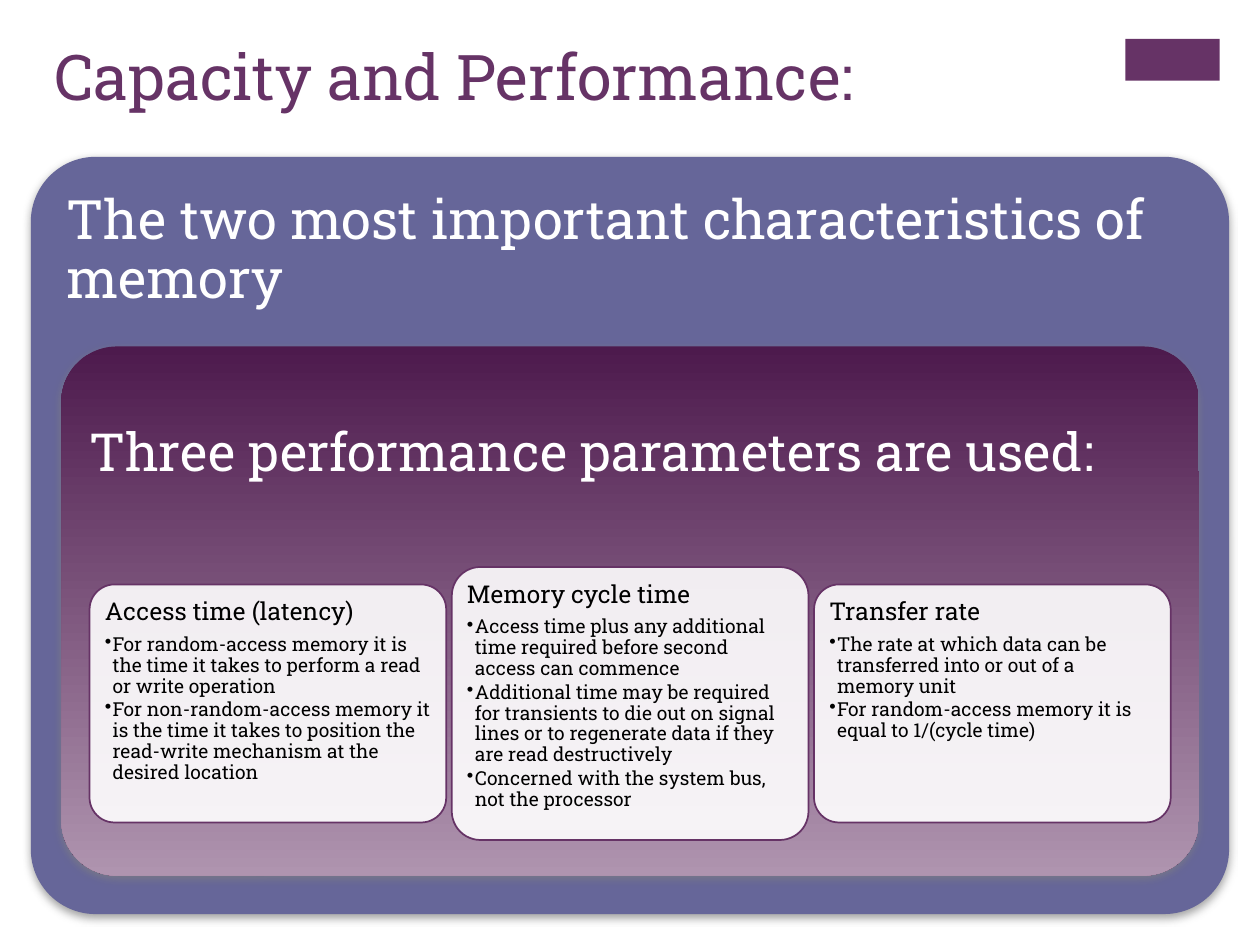
from lxml import etree
from pptx import Presentation
from pptx.dml.color import RGBColor
from pptx.enum.shapes import MSO_SHAPE
from pptx.enum.text import MSO_ANCHOR, PP_ALIGN
from pptx.oxml import parse_xml
from pptx.oxml.ns import nsdecls, qn
from pptx.util import Pt

RECT = MSO_SHAPE.RECTANGLE
ROUND = MSO_SHAPE.ROUNDED_RECTANGLE
TOP = MSO_ANCHOR.TOP
LEFT = PP_ALIGN.LEFT

PLUM = RGBColor(0x66, 0x33, 0x66)
SLATE = RGBColor(0x66, 0x66, 0x99)
DARK = RGBColor(0x4D, 0x1A, 0x4D)
MAUVE = RGBColor(0xAF, 0x94, 0xAF)
WHITE = RGBColor(0xFF, 0xFF, 0xFF)
BLACK = RGBColor(0x00, 0x00, 0x00)

CARDS = [
    ("Access time (latency)", 136, [
        "For random-access memory it is the time it takes to perform a read or write operation",
        "For non-random-access memory it is the time it takes to position the read-write "
        "mechanism at the desired location",
    ]),
    ("Memory cycle time", 156, [
        "Access time plus any additional time required before second access can commence",
        "Additional time may be required for transients to die out on signal lines or to "
        "regenerate data if they are read destructively",
        "Concerned with the system bus, not the processor",
    ]),
    ("Transfer rate", 136, [
        "The rate at which data can be transferred into or out of a memory unit",
        "For random-access memory it is equal to 1/(cycle time)",
    ]),
]


class Deck:
    font = "Roboto Slab"

    def __init__(self):
        self.prs = Presentation()
        self.prs.slide_width, self.prs.slide_height = Pt(720), Pt(540)
        self.slide = self.prs.slides.add_slide(self.prs.slide_layouts[5])

    def style(self, par, size, color):
        par.alignment = LEFT
        for run in par.runs:
            run.font.name = self.font
            run.font.size = Pt(size)
            run.font.color.rgb = color

    def frame(self, shape, inset):
        frame = shape.text_frame
        frame.word_wrap = True
        frame.vertical_anchor = TOP
        frame.margin_left = frame.margin_right = Pt(inset)
        frame.margin_top = frame.margin_bottom = Pt(inset)
        return frame

    def title(self, text, x, y, w, h):
        shape = self.slide.shapes.title
        shape.left, shape.top, shape.width, shape.height = Pt(x), Pt(y), Pt(w), Pt(h)
        frame = self.frame(shape, 7.2)
        frame.margin_top = Pt(3.6)
        frame.text = text
        self.style(frame.paragraphs[0], 36, PLUM)

    def panel(self, kind, x, y, w, h, fill, line=None, width=1, round=None):
        shape = self.slide.shapes.add_shape(kind, Pt(x), Pt(y), Pt(w), Pt(h))
        shape.shadow.inherit = False
        shape.fill.solid()
        shape.fill.fore_color.rgb = fill
        if line is None:
            shape.line.fill.background()
        else:
            shape.line.color.rgb = line
            shape.line.width = Pt(width)
        if round is not None:
            shape.adjustments[0] = round
        return shape

    def shade(self, shape):
        effects = shape._element.spPr.find(qn("a:effectLst"))
        effects.append(parse_xml(
            f'<a:outerShdw {nsdecls("a")} blurRad="{Pt(5)}" dist="{Pt(2)}" dir="5400000" '
            'rotWithShape="0"><a:srgbClr val="808080"><a:alpha val="75000"/></a:srgbClr>'
            '</a:outerShdw>'))

    def blend(self, shape, first, last):
        shape.fill.gradient()
        shape.fill.gradient_angle = 270
        for stop, color in zip(shape.fill.gradient_stops, (first, last)):
            stop.color.rgb = color

    def fade(self, shape, share):
        color = shape._element.spPr.find(qn("a:solidFill"))[0]
        etree.SubElement(color, qn("a:alpha")).set("val", str(share * 1000))

    def box(self, x, y, w, h, inset):
        return self.frame(self.slide.shapes.add_textbox(Pt(x), Pt(y), Pt(w), Pt(h)), inset)

    def label(self, text, x, y, w, h, inset, size):
        frame = self.box(x, y, w, h, inset)
        frame.text = text
        frame.paragraphs[0].line_spacing = 0.9
        self.style(frame.paragraphs[0], size, WHITE)

    def bullet(self, par):
        props = par._p.get_or_add_pPr()
        props.set("marL", str(Pt(4.5)))
        props.set("indent", str(-Pt(4.5)))
        etree.SubElement(props, qn("a:buChar")).set("char", "•")

    def card(self, x, mid, w, h, head, items):
        y = mid - h / 2
        self.fade(self.panel(ROUND, x, y, w, h, WHITE, PLUM, 1, 0.105), 90)
        frame = self.box(x + 4.5, y + 4.5, w - 9, h - 9, 4.2)
        frame.text = "\n".join([head, *items])
        for rank, par in enumerate(frame.paragraphs):
            par.line_spacing = 0.9
            par.space_after = Pt(1.7 if rank else 4.9)
            self.style(par, 11 if rank else 14, BLACK)
            if rank:
                par.level = 1
                self.bullet(par)


def main():
    deck = Deck()
    deck.panel(RECT, 643, 22.3, 54, 23.8, PLUM)
    deck.title("Capacity and Performance:", 23.8, 18, 595, 88)

    outer = deck.panel(ROUND, 18, 90, 684, 432, SLATE, SLATE, 0.75, 0.085)
    deck.shade(outer)
    deck.label("The two most important characteristics of memory",
               28.8, 100.8, 662.4, 80, 9.4, 31)

    inner = deck.panel(ROUND, 35, 198, 650, 302.4, DARK, round=0.105)
    deck.blend(inner, DARK, MAUVE)
    deck.shade(inner)
    deck.label("Three performance parameters are used:", 45, 237.5, 631, 50, 6, 30)

    for rank, (head, height, items) in enumerate(CARDS):
        deck.card(51.2 + 207 * rank, 402, 203.8, height, head, items)

    deck.prs.save("out.pptx")


if __name__ == "__main__":
    main()
